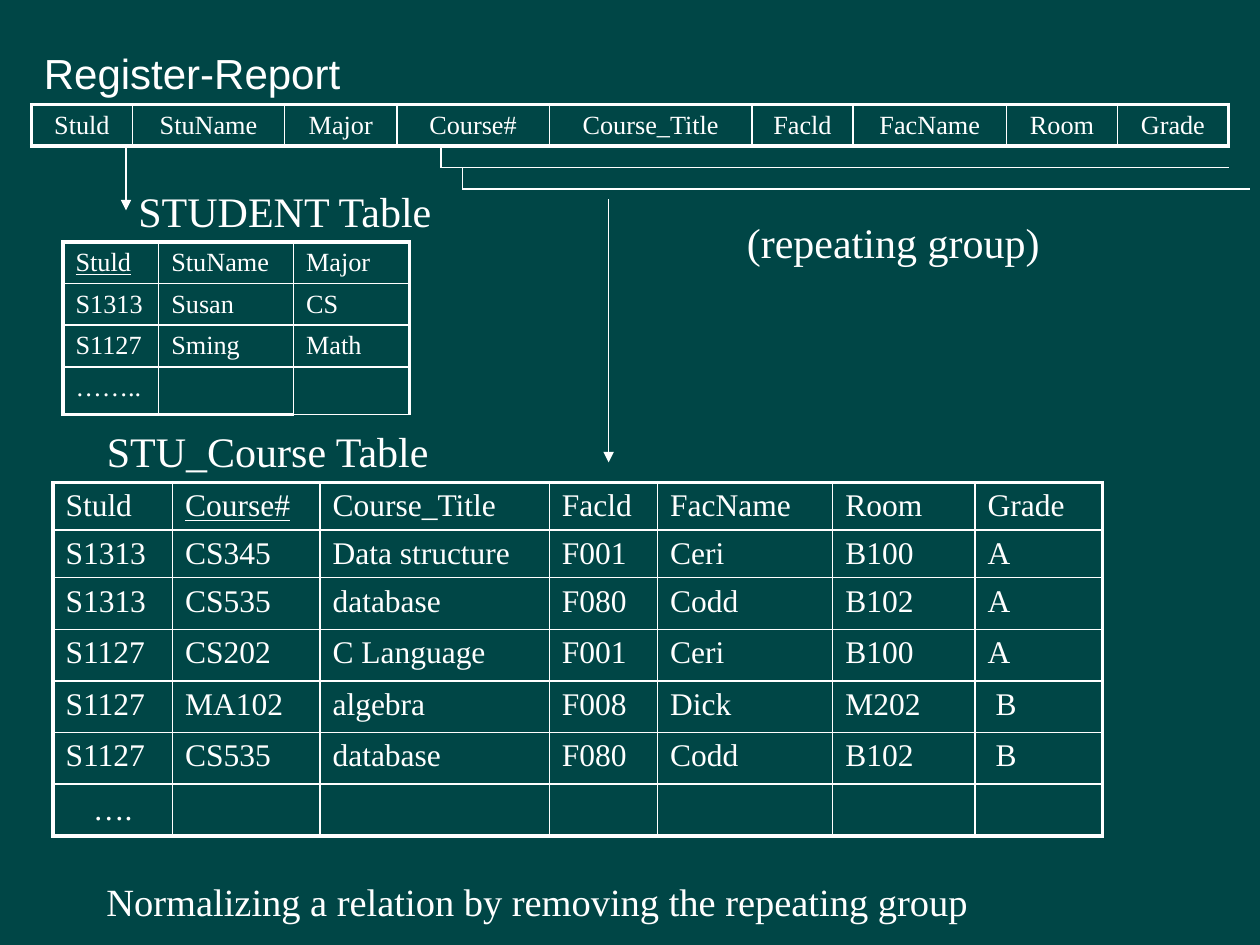
from pptx import Presentation
from pptx.dml.color import RGBColor
from pptx.enum.shapes import MSO_CONNECTOR
from pptx.enum.text import MSO_ANCHOR, MSO_AUTO_SIZE, PP_ALIGN
from pptx.oxml.ns import qn
from pptx.util import Inches, Pt
from lxml.etree import SubElement

WHITE = "FFFFFF"
TEAL = "004646"
SERIF = "Times New Roman"
SANS = "Arial"
THIN, THICK = 1, 2.25

REGISTER = [["Stuld", "StuName", "Major", "Course#", "Course_Title",
             "Facld", "FacName", "Room", "Grade"]]
STUDENTS = [
    ["Stuld", "StuName", "Major"],
    ["S1313", "Susan", "CS"],
    ["S1127", "Sming", "Math"],
    ["……..", "", ""],
]
COURSES = [
    ["Stuld", "Course#", "Course_Title", "Facld", "FacName", "Room", "Grade"],
    ["S1313", "CS345", "Data structure", "F001", "Ceri", "B100", "A"],
    ["S1313", "CS535", "database", "F080", "Codd", "B102", "A"],
    ["S1127", "CS202", "C Language", "F001", "Ceri", "B100", "A"],
    ["S1127", "MA102", "algebra", "F008", "Dick", "M202", " B"],
    ["S1127", "CS535", "database", "F080", "Codd", "B102", " B"],
    ["….", "", "", "", "", "", ""],
]


def color(value):
    return RGBColor.from_string(value)


def write(paragraph, text, size, name=SERIF, underline=None):
    span = paragraph.add_run()
    span.text = text
    span.font.color.rgb = color(WHITE)
    formats = {"size": Pt(size), "name": name, "underline": underline}
    for attribute, value in formats.items():
        setattr(span.font, attribute, value)


def set_empty_font(paragraph, size):
    ending = SubElement(paragraph._p, qn("a:endParaRPr"), sz=str(size * 100))
    SubElement(ending, qn("a:latin"), typeface=SERIF)


def add_label(page, text, left, top, width, height=0.5, size=24, name=SERIF):
    box = page.shapes.add_textbox(*map(Inches, (left, top, width, height)))
    frame = box.text_frame
    for attribute, value in {"word_wrap": True,
                             "auto_size": MSO_AUTO_SIZE.SHAPE_TO_FIT_TEXT}.items():
        setattr(frame, attribute, value)
    write(frame.paragraphs[0], text, size, name)


def add_line(shapes, start, end, arrow=False):
    line = shapes.add_connector(MSO_CONNECTOR.STRAIGHT, *map(Inches, start + end))
    line.line.color.rgb = color(WHITE)
    line.line.width = Pt(0.75)
    if arrow:
        SubElement(line.line._get_or_add_ln(), qn("a:tailEnd"), type="triangle")
    SubElement(line._element.spPr, qn("a:effectLst"))


def add_bracket(page, left, top, bottom, length):
    group = page.shapes.add_group_shape()
    add_line(group.shapes, (left, top), (left, bottom))
    add_line(group.shapes, (left, bottom), (left + length, bottom))


def set_border(cell, side, width):
    properties = cell._tc.get_or_add_tcPr()
    border = SubElement(properties, qn("a:ln" + side), w=str(Pt(width)))
    fill = SubElement(border, qn("a:solidFill"))
    SubElement(fill, qn("a:srgbClr"), val=WHITE)


def add_grid(page, left, top, widths, heights, rows, size,
             key=None, centered=(), open_corner=False):
    frame = page.shapes.add_table(len(rows), len(widths), Inches(left), Inches(top),
                                  Inches(sum(widths)), Inches(sum(heights)))
    table = frame.table
    for attribute in ("first_row", "horz_banding"):
        setattr(table, attribute, False)
    for column, width in zip(table.columns, widths):
        column.width = Inches(width)
    for row, height in zip(table.rows, heights):
        row.height = Inches(height)
    last_row, last_column = len(rows) - 1, len(widths) - 1
    for r, texts in enumerate(rows):
        for c, text in enumerate(texts):
            cell = table.cell(r, c)
            corner = open_corner and (r, c) == (last_row, last_column)
            outer = {"L": c == 0, "R": c == last_column, "T": r == 0,
                     "B": r == last_row and not corner}
            for side, is_outer in outer.items():
                set_border(cell, side, THICK if is_outer else THIN)
            cell.fill.background()
            paragraph = cell.text_frame.paragraphs[0]
            if not text:
                set_empty_font(paragraph, 18)
                continue
            write(paragraph, text, size, underline=True if (r, c) == (0, key) else None)
            if text in centered:
                cell.vertical_anchor = MSO_ANCHOR.MIDDLE
                paragraph.alignment = PP_ALIGN.CENTER


def main():
    deck = Presentation()
    deck.slide_width, deck.slide_height = Inches(10), Inches(7.5)
    page = deck.slides.add_slide(deck.slide_layouts[6])
    page.background.fill.solid()
    page.background.fill.fore_color.rgb = color(TEAL)

    add_grid(page, 0.25, 0.83, [0.8, 1.21, 0.89, 1.21, 1.61, 0.8, 1.22, 0.88, 0.88],
             [0.33], REGISTER, 15, centered=REGISTER[0])
    add_line(page.shapes, (1, 1.17), (1, 1.67), arrow=True)
    add_grid(page, 0.5, 1.92, [0.76, 1.07, 0.92], [0.15] + [0.23] * 3,
             STUDENTS, 15, key=0, open_corner=True)
    add_grid(page, 0.42, 3.83, [0.95, 1.17, 1.82, 0.86, 1.39, 1.13, 1.01],
             [0.33, 0.35] + [0.41] * 5, COURSES, 18, key=1, centered=["…."])

    add_label(page, "Register-Report", 0.25, 0.33, 3.33, name=SANS)
    add_label(page, "STUDENT Table", 1, 1.42, 2.58)
    add_label(page, "STU_Course Table", 0.75, 3.33, 3.08)
    add_label(page, " Normalizing a relation by removing the repeating group",
              0.67, 6.92, 8.75, 0.47, 22)

    add_bracket(page, 3.5, 1.17, 1.33, 6.25)
    add_bracket(page, 3.67, 1.33, 1.5, 6.25)
    add_label(page, "(repeating group)", 5.83, 1.67, 3.17)
    add_line(page.shapes, (4.83, 1.58), (4.83, 3.67), arrow=True)

    deck.save("out.pptx")


if __name__ == "__main__":
    main()
